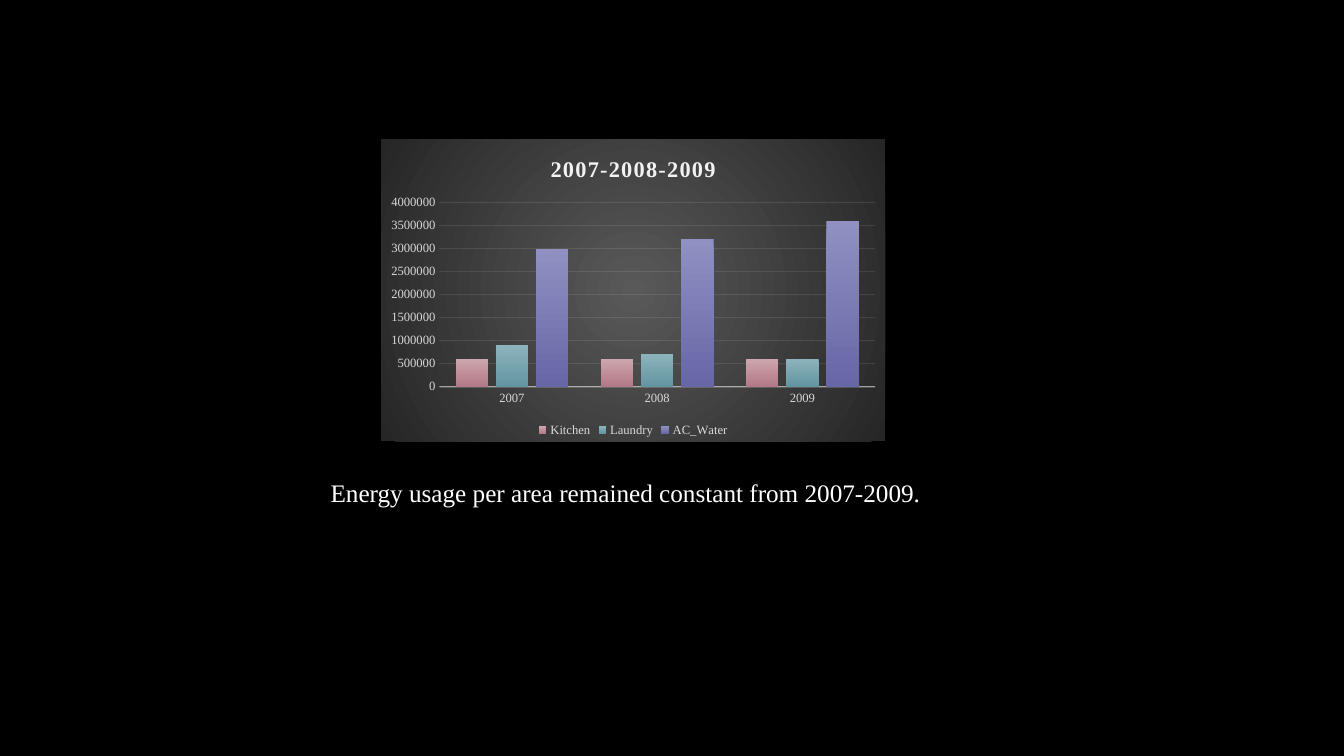
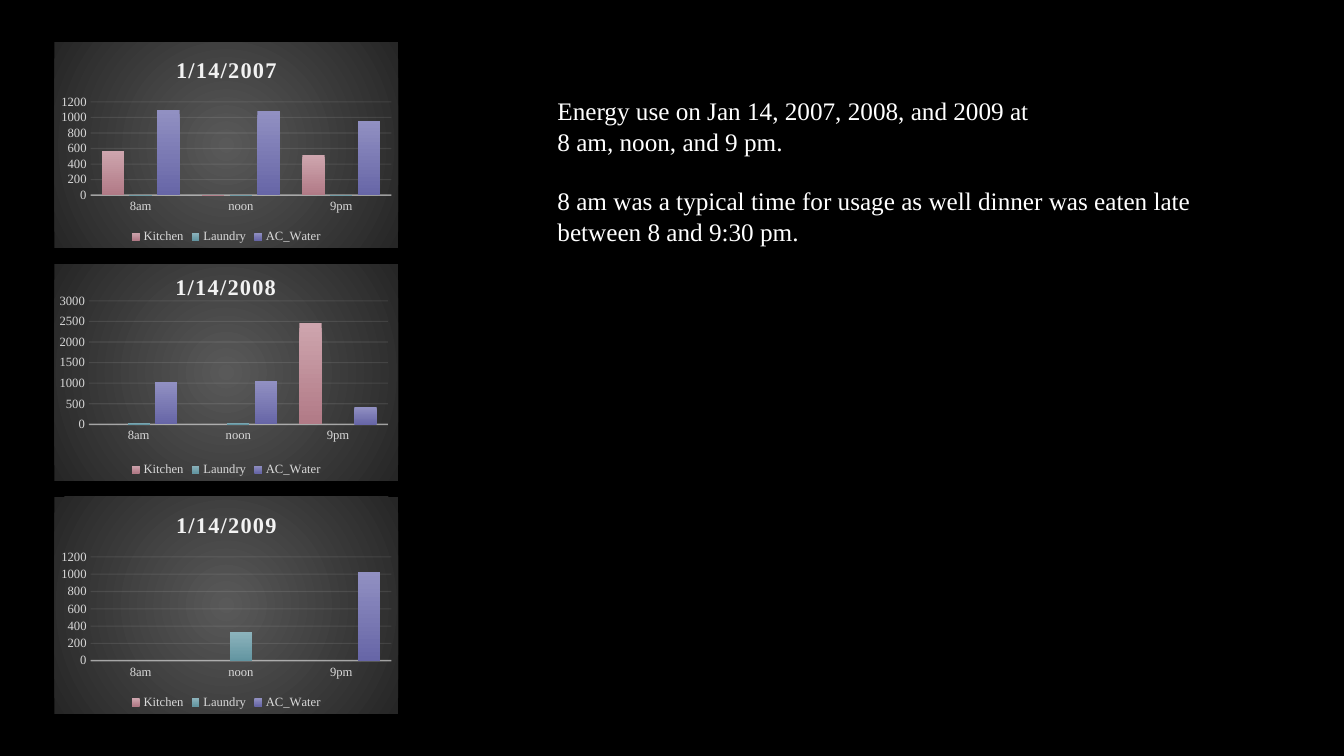
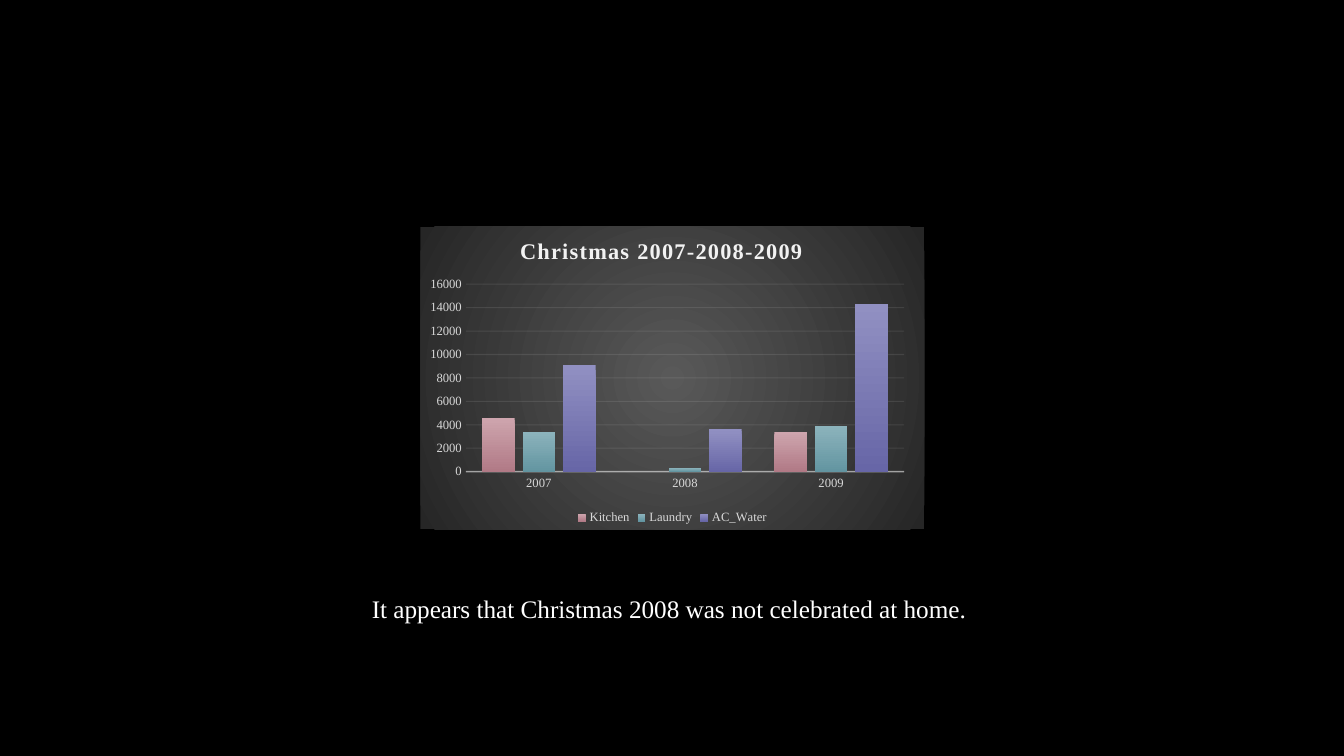
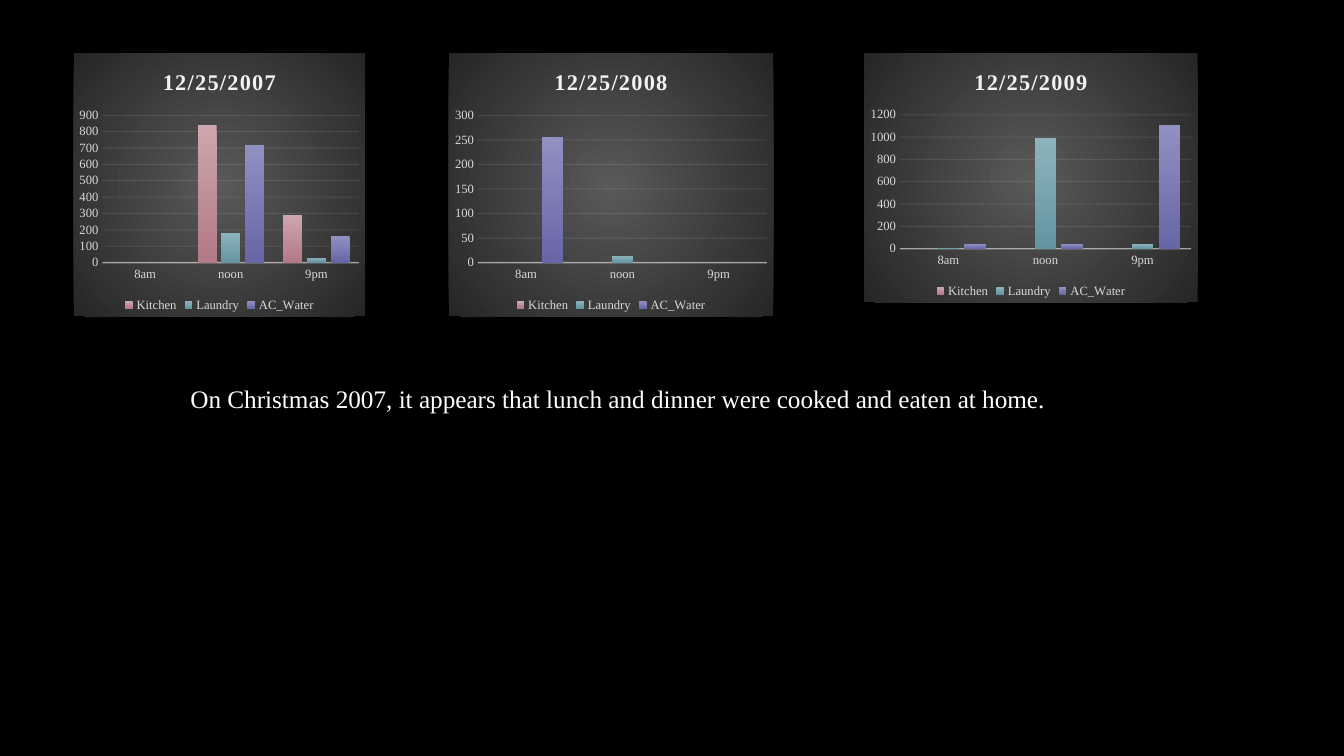
import dataclasses
import typing

import lxml.etree
import pptx
import pptx.chart.data
import pptx.dml.color
import pptx.enum.chart
import pptx.enum.text
import pptx.oxml
import pptx.oxml.ns
import pptx.util

FONT = "Times New Roman"
HUES = {
    "back": "000000", "text": "FFFFFF", "label": "D9D9D9", "line": "F2F2F2",
    "inner": "595959", "outer": "262626",
}
# Upper and lower colour of the bars of each area
BARS = {
    "Kitchen": ("CEA5AE", "B17A86"),
    "Laundry": ("8CB3BC", "6395A1"),
    "AC_Water": ("9190C2", "6766A7"),
}
WIDE, HIGH = pptx.util.Inches(13.333), pptx.util.Inches(7.5)
YEARS = ("2007", "2008", "2009")
HOURS = ("8am", "noon", "9pm")


class Box(typing.NamedTuple):
    """A place in percent of the slide's width and height."""
    left: float
    top: float
    width: float
    height: float

    def emu(self) -> list[int]:
        return [round(part * full / 100)
                for part, full in zip(self, (WIDE, HIGH, WIDE, HIGH))]


@dataclasses.dataclass
class Graph:
    title: str
    box: Box
    cats: tuple[str, ...]
    rows: tuple[tuple[int, ...], ...]
    head: tuple[float, ...] = ()  # title's x, y as shares of the chart
    plot: tuple[float, ...] = ()  # plot's x, y, w, h as shares of the chart


@dataclasses.dataclass
class Page:
    graphs: list[Graph]
    box: Box
    text: list[str]  # blocks, set apart by one line


def hue(name: str) -> pptx.dml.color.RGBColor:
    return pptx.dml.color.RGBColor.from_string(HUES.get(name, name))


def style(font, size: float, name: str, bold: bool = False) -> None:
    font.name, font.size, font.bold = FONT, pptx.util.Pt(size), bold
    font.color.rgb = hue(name)


def rule(line, size: float) -> None:
    line.width = pptx.util.Pt(size)
    line.color.rgb = hue("line")


def place(node, spot: int, shares: tuple[float, ...]) -> None:
    """Give a chart part a manual layout, as its child number spot."""
    qn = pptx.oxml.ns.qn
    for old in node.findall(qn("c:layout")):
        node.remove(old)
    layout = lxml.etree.Element(qn("c:layout"))
    manual = lxml.etree.SubElement(layout, qn("c:manualLayout"))
    pairs = [("xMode", "edge"), ("yMode", "edge"), *zip("xywh", shares)]
    if len(shares) == 4:
        pairs.insert(0, ("layoutTarget", "inner"))
    for tag, val in pairs:
        lxml.etree.SubElement(manual, qn(f"c:{tag}")).set("val", str(val))
    node.insert(spot, layout)


def glow(root) -> None:
    """Fill the chart area with a round gradient."""
    names = pptx.oxml.ns.nsdecls("c", "a")
    stops = "".join(
        f'<a:gs pos="{pos}"><a:srgbClr val="{HUES[name]}"/></a:gs>'
        for pos, name in ((0, "inner"), (100000, "outer")))
    root.xpath("c:chart")[0].addnext(pptx.oxml.parse_xml(
        f'<c:spPr {names}><a:gradFill><a:gsLst>{stops}</a:gsLst>'
        '<a:path path="circle"><a:fillToRect l="50000" t="50000" r="50000"'
        ' b="50000"/></a:path></a:gradFill><a:ln><a:noFill/></a:ln></c:spPr>'))


def fade(root, where: str, share: int) -> None:
    for color in root.xpath(f"{where}//a:srgbClr"):
        alpha = lxml.etree.SubElement(color, pptx.oxml.ns.qn("a:alpha"))
        alpha.set("val", str(share * 1000))


def draw_axes(chart) -> None:
    for axis in (chart.category_axis, chart.value_axis):
        axis.major_tick_mark = pptx.enum.chart.XL_TICK_MARK.NONE
        axis.minor_tick_mark = pptx.enum.chart.XL_TICK_MARK.NONE
        style(axis.tick_labels.font, 9, "label")
    rule(chart.category_axis.format.line, 1)
    chart.value_axis.format.line.fill.background()
    rule(chart.value_axis.major_gridlines.format.line, 0.75)
    fade(chart.element, "//c:catAx/c:spPr", 54)
    fade(chart.element, "//c:majorGridlines", 10)


def draw_title(chart, graph: Graph) -> None:
    frame = chart.chart_title.text_frame
    frame.text = graph.title
    style(frame.paragraphs[0].runs[0].font, 16, "line", True)
    node = chart.element.xpath("c:chart/c:title")[0]
    for props in node.xpath(".//a:rPr"):
        props.set("spc", "100")
    if graph.head:
        place(node, 1, graph.head)


def draw_graph(slide, graph: Graph) -> None:
    data = pptx.chart.data.CategoryChartData()
    data.categories = graph.cats
    for name, row in zip(BARS, graph.rows):
        data.add_series(name, row)
    kind = pptx.enum.chart.XL_CHART_TYPE.COLUMN_CLUSTERED
    chart = slide.shapes.add_chart(kind, *graph.box.emu(), data).chart
    style(chart.font, 10, "text")
    draw_title(chart, graph)
    draw_axes(chart)

    bars = chart.plots[0]
    bars.gap_width, bars.overlap, bars.vary_by_categories = 100, -24, False
    for item in bars.series:
        fill = item.format.fill
        fill.gradient()
        fill.gradient_angle = 270
        for stop, name in zip(fill.gradient_stops, BARS[item.name]):
            stop.color.rgb = hue(name)

    chart.has_legend = True
    chart.legend.position = pptx.enum.chart.XL_LEGEND_POSITION.BOTTOM
    chart.legend.include_in_layout = False
    style(chart.legend.font, 9, "label")
    if graph.plot:
        place(chart.element.xpath("c:chart/c:plotArea")[0], 0, graph.plot)
    glow(chart.element)


def draw_text(slide, box: Box, text: list[str]) -> None:
    frame = slide.shapes.add_textbox(*box.emu()).text_frame
    frame.word_wrap = True
    frame.auto_size = pptx.enum.text.MSO_AUTO_SIZE.SHAPE_TO_FIT_TEXT
    frame.text = "\n".join(text)
    starts, count = set(), 0
    for block in text:
        starts.add(count)
        count += block.count("\n") + 1
    for spot, para in enumerate(frame.paragraphs):
        if spot and spot in starts:
            para.space_before = pptx.util.Pt(21)
        style(para.runs[0].font, 18, "text")


def stack(left: float, top: float, width: float, gap: float,
          highs: tuple[float, ...]) -> list[Box]:
    """Boxes one below the other with equal gaps."""
    boxes = []
    for high in highs:
        boxes.append(Box(left, top, width, high))
        top += high + gap
    return boxes


DAYS = stack(4.05, 5.6, 25.58, 2.13, (27.2, 28.67, 28.67))
ROW = 7.07  # top of the Christmas charts

PAGES = [
    Page(
        [Graph("2007-2008-2009", Box(28.36, 18.4, 37.5, 40), YEARS,
               ((600000, 600000, 600000), (900000, 700000, 600000),
                (3000000, 3200000, 3600000)))],
        Box(23.86, 62.53, 46.44, 5.33),
        ["Energy usage per area remained constant from 2007-2009."]),
    Page(
        [Graph("1/14/2007", DAYS[0], HOURS,
               ((570, 0, 510), (0, 0, 0), (1100, 1080, 960))),
         Graph("1/14/2008", DAYS[1], HOURS,
               ((0, 0, 2460), (40, 40, 0), (1030, 1050, 420)),
               (0.34, 0.02), (0.1, 0.17, 0.87, 0.57)),
         Graph("1/14/2009", DAYS[2], HOURS,
               ((0, 0, 0), (0, 330, 0), (0, 0, 1030)))],
        Box(40.74, 12, 50.11, 21.6),
        ["Energy use on Jan 14, 2007, 2008, and 2009 at\n"
         "8 am, noon, and 9 pm.",
         "8 am was a typical time for usage as well dinner was eaten late "
         "between 8 and 9:30 pm."]),
    Page(
        [Graph("Christmas 2007-2008-2009", Box(31.28, 30, 37.5, 40), YEARS,
               ((4600, 0, 3400), (3400, 300, 3900), (9100, 3600, 14300)),
               (0.19, 0.02), (0.09, 0.19, 0.87, 0.62))],
        Box(26.93, 77.87, 46.14, 5.33),
        ["It appears that Christmas 2008 was not celebrated at home."]),
    Page(
        [Graph("12/25/2007", Box(5.48, ROW, 21.68, 34.8), HOURS,
               ((0, 840, 290), (0, 180, 30), (0, 720, 160))),
         Graph("12/25/2008", Box(33.38, ROW, 24.16, 34.8), HOURS,
               ((0, 0, 0), (0, 13, 0), (256, 0, 0))),
         Graph("12/25/2009", Box(64.29, ROW, 24.83, 32.93), HOURS,
               ((0, 0, 0), (10, 990, 40), (40, 40, 1110)))],
        Box(13.43, 50, 68.34, 5.33),
        ["On Christmas 2007, it appears that lunch and dinner were cooked "
         "and eaten at home."]),
]


def main() -> None:
    deck = pptx.Presentation()
    deck.slide_width, deck.slide_height = WIDE, HIGH
    fill = deck.slide_master.background.fill
    fill.solid()
    fill.fore_color.rgb = hue("back")
    for page in PAGES:
        slide = deck.slides.add_slide(deck.slide_layouts[6])
        for graph in page.graphs:
            draw_graph(slide, graph)
        draw_text(slide, page.box, page.text)
    deck.save("out.pptx")


if __name__ == "__main__":
    main()
